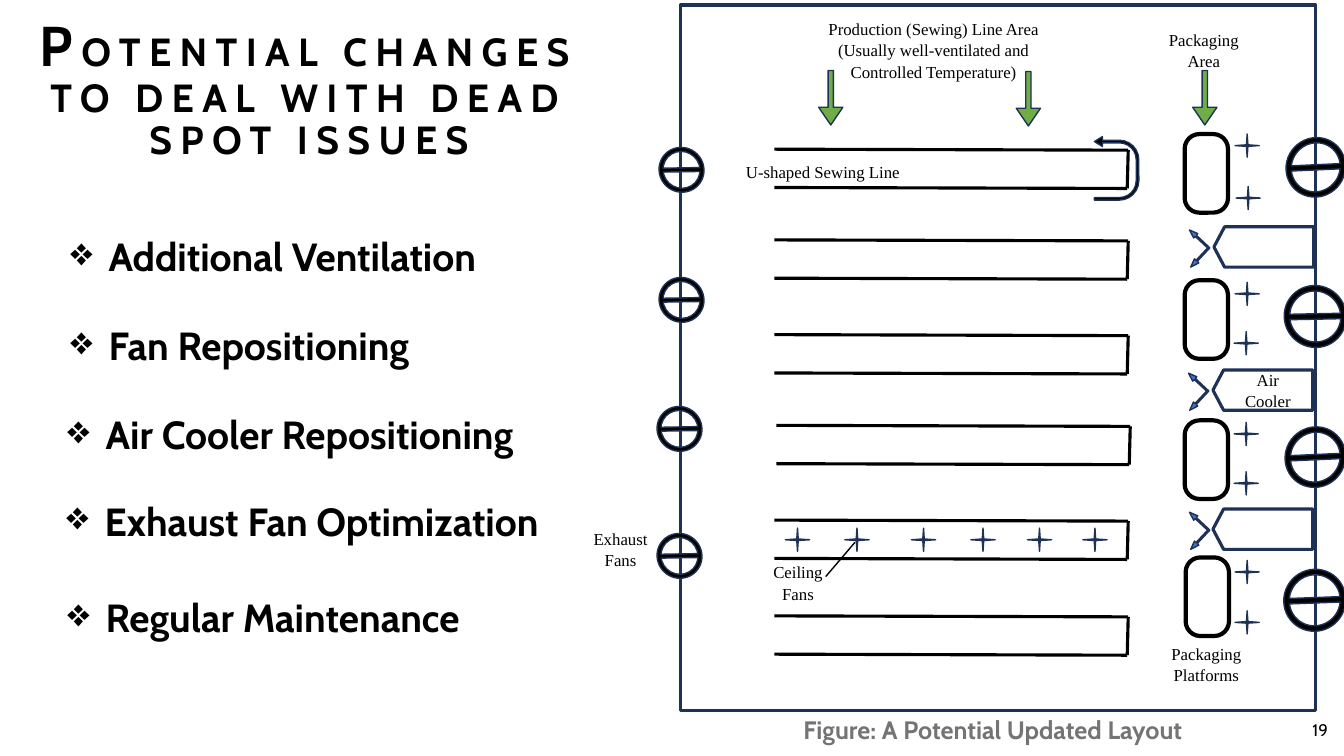
import pptx
import pptx.util
import pptx.dml.color
import pptx.enum.shapes
import pptx.enum.text
import pptx.oxml.ns
from lxml import etree

Inches, Pt = pptx.util.Inches, pptx.util.Pt
RGB = pptx.dml.color.RGBColor
MSO = pptx.enum.shapes.MSO_SHAPE
ALIGN = pptx.enum.text.PP_ALIGN

BLACK, WHITE = RGB(0, 0, 0), RGB(255, 255, 255)
NAVY, BLUE = RGB(0x1E, 0x32, 0x56), RGB(0x44, 0x72, 0xC4)
GREEN, GREY = RGB(0x70, 0xAD, 0x47), RGB(0x74, 0x74, 0x74)
SANS, SERIF = "Cabin", "Times New Roman"

# Content
TITLE = ("P", "OTENTIAL CHANGES TO DEAL WITH DEAD SPOT ISSUES")
CHANGES = [  # text, left, top, width
    ("Additional Ventilation", 0.6, 2.26, 4.44),
    ("Fan Repositioning", 0.6, 3.14, 3.77),
    ("Air Cooler Repositioning", 0.57, 4.02, 4.91),
    ("Exhaust Fan Optimization", 0.56, 4.88, 5.13),
    ("Regular Maintenance", 0.57, 5.84, 4.38),
]
LABELS = [  # text, box, alignment
    ("Packaging Area", (11.32, 0.23, 1.24, 0.86), ALIGN.CENTER),
    ("Exhaust Fans", (5.76, 5.18, 0.79, 0.64), ALIGN.CENTER),
    ("Air Cooler", (12.23, 3.6, 0.69, 0.58), ALIGN.CENTER),
    ("U-shaped Sewing Line", (7.3, 1.54, 2.22, 0.42), ALIGN.JUSTIFY),
    ("Ceiling Fans", (7.45, 5.51, 0.93, 0.64), ALIGN.CENTER),
    ("Production (Sewing) Line Area (Usually well-ventilated and "
     "Controlled Temperature)", (8.1, 0.12, 2.32, 0.84), ALIGN.CENTER),
    ("Packaging Platforms", (11.5, 6.32, 0.93, 0.64), ALIGN.CENTER),
]
CAPTION, PAGE = "Figure: A Potential Updated Layout", "19"

# Floor plan positions
SEWING_LINES = [(7.68, 1.48), (7.68, 2.38), (7.68, 3.32),
                (7.7, 4.22), (7.68, 5.16), (7.68, 6.11)]
LINE_LENGTH, LINE_DEPTH = 3.5, 0.39
EXHAUST_FANS = [
    (6.54, 1.46, 0.44, 0.45), (6.54, 2.75, 0.44, 0.45),
    (6.52, 4.03, 0.44, 0.45), (6.52, 5.29, 0.44, 0.45),
    (12.75, 1.37, 0.6, 0.58), (12.74, 2.83, 0.61, 0.62),
    (12.74, 4.24, 0.61, 0.59), (12.73, 5.65, 0.62, 0.61),
]
PLATFORMS = [(11.75, 1.33), (11.75, 2.78), (11.75, 4.17), (11.76, 5.53)]
COOLERS = [(12.04, 2.25), (12.03, 3.67), (12.03, 5.05)]
AIR_FLOWS = [(11.68, 2.32), (11.67, 3.74), (11.68, 5.12)]
LINE_FANS = [(x, 5.24) for x in (7.79, 8.38, 9.04, 9.63, 10.19, 10.74)]
PLATFORM_FANS = [(12.25, 1.33), (12.26, 1.85), (12.25, 2.8), (12.24, 3.29),
                 (12.24, 4.19), (12.24, 4.68), (12.25, 5.56), (12.25, 6.06)]
AREA_ARROWS = [(8.12, 0.7), (10.08, 0.71), (11.83, 0.7)]

prs = pptx.Presentation()
prs.slide_width, prs.slide_height = Inches(13.33), Inches(7.5)
s = prs.slides.add_slide(prs.slide_layouts[6])


def add_shape(kind, box, fill=None, line=NAVY, weight=1, adj=(), rot=0):
    sp = s.shapes.add_shape(kind, *map(Inches, box))
    sp.shadow.inherit = False
    if fill is None:
        sp.fill.background()
    else:
        sp.fill.solid()
        sp.fill.fore_color.rgb = fill
    sp.line.color.rgb = line
    sp.line.width = Pt(weight)
    for i, value in enumerate(adj):
        sp.adjustments[i] = value
    sp.rotation = rot
    return sp


def add_line(x1, y1, x2, y2, weight=2.25):
    c = s.shapes.add_connector(pptx.enum.shapes.MSO_CONNECTOR.STRAIGHT,
                               *map(Inches, (x1, y1, x2, y2)))
    c.line.color.rgb = BLACK
    c.line.width = Pt(weight)
    etree.SubElement(c.element.spPr, pptx.oxml.ns.qn("a:effectLst"))


def style_run(r, font, size, color=BLACK, bold=False):
    r.font.name, r.font.size, r.font.bold = font, Pt(size), bold
    r.font.color.rgb = color


def add_text(text, box, font, size, align=ALIGN.LEFT, color=BLACK,
             bold=False, wrap=True):
    tf = s.shapes.add_textbox(*map(Inches, box)).text_frame
    tf.word_wrap = wrap
    tf.text = text
    p = tf.paragraphs[0]
    p.alignment = align
    style_run(p.runs[0], font, size, color, bold)
    return p


# Factory wall and sewing lines
add_shape(MSO.RECTANGLE, (6.75, 0.05, 6.3, 7), weight=2.25)
for x, y in SEWING_LINES:
    end, bottom = x + LINE_LENGTH, y + LINE_DEPTH
    add_line(x, y, end + 0.01, y + 0.01)
    add_line(end, bottom, end + 0.01, y + 0.01)
    add_line(x, bottom - 0.01, end, bottom)
uturn = add_shape(MSO.U_TURN_ARROW, (10.76, 1.45, 0.63, 0.44), BLACK,
                  adj=(0.058, 0.111, 0.181, 0.438, 1), rot=90)
uturn.element.spPr.xfrm.set("flipH", "1")

# Fans, platforms and coolers
for box in EXHAUST_FANS:
    add_shape(MSO.NO_SYMBOL, box, BLACK, adj=(0.089,), rot=313.4)
for x, y in PLATFORMS:
    add_shape(MSO.ROUNDED_RECTANGLE, (x, y, 0.43, 0.78), WHITE, BLACK, 3, (0.34,))
for x, y in COOLERS:
    add_shape(MSO.PENTAGON, (x, y, 0.99, 0.4), weight=2.25, adj=(0.264,), rot=180)
for x, y in AIR_FLOWS:
    add_shape(MSO.LEFT_UP_ARROW, (x, y, 0.29, 0.29), BLUE,
              adj=(0.056, 0.102, 0.292), rot=313.1)
for x, y in LINE_FANS + PLATFORM_FANS:
    add_shape(MSO.QUAD_ARROW, (x, y, 0.24, 0.23), BLUE, adj=(0, 0.031, 0.469))

# Area arrows, leader and labels
for x, y in AREA_ARROWS:
    add_shape(MSO.DOWN_ARROW, (x, y, 0.24, 0.54), GREEN, adj=(0.217, 0.731))
add_line(8.19, 5.72, 8.48, 5.38, 1)
for text, box, align in LABELS:
    p = add_text(text, box, SERIF, 12, align)
    p.line_spacing, p.space_after = 1.07, Pt(8)

# Title
p = add_text(TITLE[0], (0, 0.13, 6.13, 1.56), SANS, 40, ALIGN.CENTER, bold=True)
p.line_spacing = 0.9
r = p.add_run()
r.text = TITLE[1]
style_run(r, SANS, 28, bold=True)
for r in p.runs:
    r.font._element.set("spc", "600")

# Proposed changes
for text, x, y, w in CHANGES:
    p = add_text(text, (x, y, w, 0.57), SANS, 28, bold=True, wrap=False)
    pPr = p._p.get_or_add_pPr()
    pPr.set("marL", str(Inches(0.38)))
    pPr.set("indent", str(-Inches(0.38)))
    etree.SubElement(pPr, pptx.oxml.ns.qn("a:buChar"), char="❖")

# Caption and page number
add_text(CAPTION, (7.87, 7.04, 4.14, 0.4), SANS, 18, color=GREY, bold=True, wrap=False)
add_text(PAGE, (10.27, 7.09, 3, 0.4), SANS, 12, ALIGN.RIGHT)

prs.save("out.pptx")
